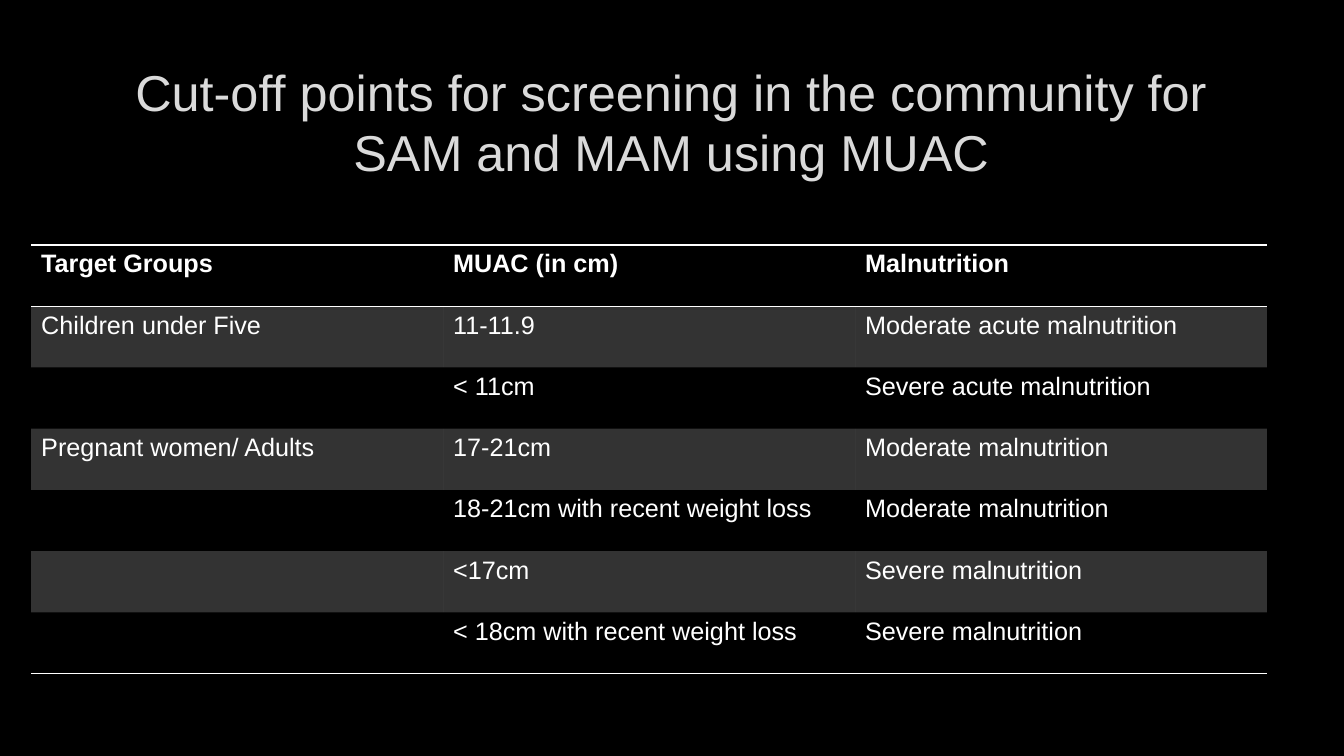
from lxml import etree
from pptx import Presentation
from pptx.dml.color import RGBColor
from pptx.enum.text import MSO_ANCHOR, PP_ALIGN
from pptx.oxml.ns import qn
from pptx.util import Pt

MIDDLE = MSO_ANCHOR.MIDDLE
CENTER = PP_ALIGN.CENTER
FONT = "Arial"
COLORS = {"background": "000000", "title": "DADADA", "light": "FFFFFF"}
NO_STYLE_NO_GRID = "{2D5ABB26-0587-4C30-8999-92F81FD0307C}"
BAND_OPACITY = 20
COLUMN_WIDTH, ROW_HEIGHT = 294.25, 43.75

ROWS = [
    ("Target Groups", "MUAC (in cm)", "Malnutrition"),
    ("Children under Five", "11-11.9", "Moderate acute malnutrition"),
    ("", "< 11cm", "Severe acute malnutrition"),
    ("Pregnant women/ Adults", "17-21cm", "Moderate malnutrition"),
    ("", "18-21cm with recent weight loss", "Moderate malnutrition"),
    ("", "<17cm", "Severe malnutrition"),
    ("", "< 18cm with recent weight loss", "Severe malnutrition"),
]


def add_span(paragraph, text, size, color, bold=False):
    span = paragraph.add_run()
    span.text = text
    span.font.name = FONT
    span.font.size = Pt(size)
    span.font.bold = bold
    span.font.color.rgb = RGBColor.from_string(COLORS[color])


def add_borders(cell, sides):
    """Draw 1 pt light lines on the given sides, ahead of the cell's fill."""
    properties = cell._tc.get_or_add_tcPr()
    for position, side in enumerate(sides):
        line = etree.Element(qn(f"a:ln{side}"), w=str(Pt(1)))
        fill = etree.SubElement(line, qn("a:solidFill"))
        etree.SubElement(fill, qn("a:srgbClr"), val=COLORS["light"])
        properties.insert(position, line)


deck = Presentation()
deck.slide_width, deck.slide_height = Pt(960), Pt(540)
page = deck.slides.add_slide(deck.slide_layouts[6])
page.background.fill.solid()
page.background.fill.fore_color.rgb = RGBColor.from_string(COLORS["background"])

# Title
title = page.shapes.add_textbox(Pt(72), Pt(48.25), Pt(815), Pt(76.5)).text_frame
title.word_wrap = True
title.vertical_anchor = MIDDLE
title.paragraphs[0].alignment = CENTER
add_span(title.paragraphs[0],
         "Cut-off points for screening in the community for SAM and MAM using MUAC",
         36, "title")

# Table of cut-off points
table = page.shapes.add_table(
    len(ROWS), len(ROWS[0]), Pt(22.25), Pt(175),
    Pt(COLUMN_WIDTH * len(ROWS[0])), Pt(ROW_HEIGHT * len(ROWS))).table
table.horz_banding = False
table._tbl.tblPr.find(qn("a:tableStyleId")).text = NO_STYLE_NO_GRID
for column in table.columns:
    column.width = Pt(COLUMN_WIDTH)

borders = {0: "TB", len(ROWS) - 1: "B"}
for row_index, texts in enumerate(ROWS):
    table.rows[row_index].height = Pt(ROW_HEIGHT)
    for column_index, text in enumerate(texts):
        cell = table.cell(row_index, column_index)
        if row_index % 2:
            cell.fill.solid()
            cell.fill.fore_color.rgb = RGBColor.from_string(COLORS["light"])
            color = cell._tc.tcPr.find(".//" + qn("a:srgbClr"))
            etree.SubElement(color, qn("a:alpha"), val=str(BAND_OPACITY * 1000))
        else:
            cell.fill.background()
        add_borders(cell, borders.get(row_index, ""))
        if text:
            add_span(cell.text_frame.paragraphs[0], text, 18, "light", row_index == 0)

deck.save("out.pptx")
